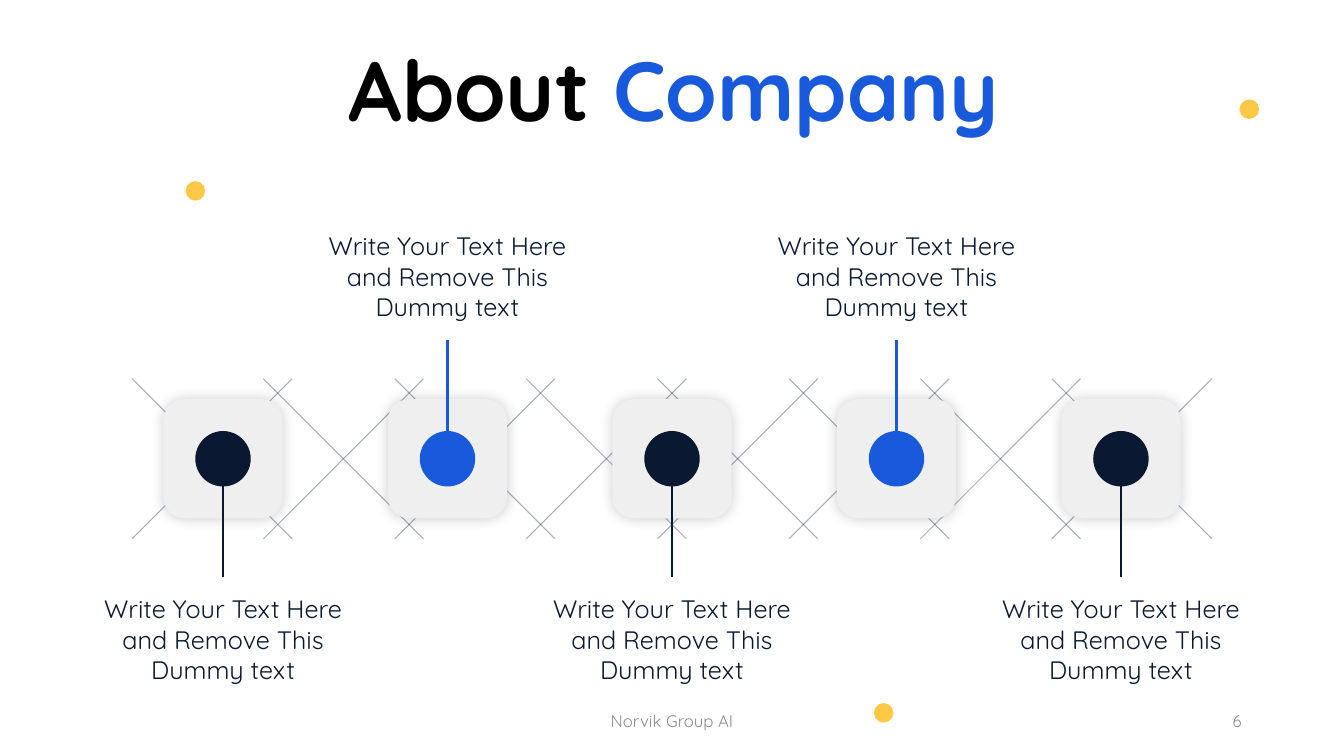
from lxml import etree
from pptx import Presentation
from pptx.dml.color import RGBColor
from pptx.enum.shapes import MSO_CONNECTOR, MSO_SHAPE
from pptx.enum.text import MSO_ANCHOR, MSO_AUTO_SIZE, PP_ALIGN
from pptx.oxml.ns import qn
from pptx.util import Pt

STRAIGHT = MSO_CONNECTOR.STRAIGHT
OVAL = MSO_SHAPE.OVAL
ROUNDED = MSO_SHAPE.ROUNDED_RECTANGLE
TOP, MIDDLE = MSO_ANCHOR.TOP, MSO_ANCHOR.MIDDLE
CENTER, RIGHT = PP_ALIGN.CENTER, PP_ALIGN.RIGHT
NO_AUTOFIT = MSO_AUTO_SIZE.NONE

NAVY = RGBColor(0x0A, 0x19, 0x31)
BLUE = RGBColor(0x18, 0x5A, 0xDB)
YELLOW = RGBColor(0xFF, 0xC9, 0x47)
TILE_GRAY = RGBColor(0xEF, 0xEF, 0xEF)
FOOTER_GRAY = RGBColor(0x8C, 0x8C, 0x8C)
BLACK = RGBColor(0, 0, 0)

FONT = "Quicksand"
STEP_TEXT = "Write Your Text Here and Remove This Dummy text"
STEP_COUNT = 5
LATTICE_COUNT = 8


def add_run(paragraph, text, size, color, bold=False):
    """Add one formatted run to a paragraph."""
    run = paragraph.add_run()
    run.text = text
    run.font.name = FONT
    run.font.size = Pt(size)
    run.font.bold = bold
    run.font.color.rgb = color


def add_text(slide, box, text, size, color, alignment=CENTER, anchor=TOP):
    """Add a wrapped text box with one paragraph."""
    frame = slide.shapes.add_textbox(*(Pt(value) for value in box)).text_frame
    frame.word_wrap = True
    frame.vertical_anchor = anchor
    paragraph = frame.paragraphs[0]
    paragraph.alignment = alignment
    add_run(paragraph, text, size, color)


def add_centered_shape(slide, kind, center_x, center_y, size, color):
    """Add a plain square-bounded shape around a centre point."""
    shape = slide.shapes.add_shape(
        kind, Pt(center_x - size / 2), Pt(center_y - size / 2), Pt(size), Pt(size))
    shape.shadow.inherit = False
    shape.fill.solid()
    shape.fill.fore_color.rgb = color
    shape.line.fill.background()
    return shape


def add_line(slide, start, end, color, width, opacity=100):
    """Add a straight line without a shadow."""
    line = slide.shapes.add_connector(STRAIGHT, *(Pt(value) for value in start + end))
    line.line.color.rgb = color
    line.line.width = Pt(width)
    properties = line._element.spPr
    if opacity < 100:
        fill_color = properties.find(".//" + qn("a:srgbClr"))
        etree.SubElement(fill_color, qn("a:alpha"), val=str(opacity * 1000))
    etree.SubElement(properties, qn("a:effectLst"))


def add_glow(shape):
    """Give a shape a soft shadow on all sides."""
    effects = shape._element.spPr.find(qn("a:effectLst"))
    shadow = etree.SubElement(effects, qn("a:outerShdw"), blurRad=str(Pt(10)),
                              dist="0", dir="0", algn="ctr", rotWithShape="0")
    color = etree.SubElement(shadow, qn("a:srgbClr"), val="000000")
    etree.SubElement(color, qn("a:alpha"), val="20000")


def add_title(slide, left, top, width, height):
    """Place the two-coloured title."""
    title = slide.shapes.title
    title.left, title.top, title.width, title.height = map(Pt, (left, top, width, height))
    frame = title.text_frame
    frame.word_wrap = False
    frame.auto_size = NO_AUTOFIT
    frame.vertical_anchor = TOP
    paragraph = frame.paragraphs[0]
    paragraph.alignment = CENTER
    add_run(paragraph, "About ", 60, BLACK, True)
    add_run(paragraph, "Company", 60, BLUE, True)


def add_lattice(slide, left, top, width, height):
    """Draw overlapping diagonal crosses across the box."""
    pitch = (width - height) / (LATTICE_COUNT - 1)
    bottom = top + height
    for index in range(LATTICE_COUNT):
        start = left + index * pitch
        end = start + height
        add_line(slide, (start, top), (end, bottom), NAVY, 0.75, 35)
        add_line(slide, (end, top), (start, bottom), NAVY, 0.75, 35)


def add_step(slide, center_x, center_y, above):
    """Draw a tile with its dot, stem and caption above or below."""
    color = BLUE if above else NAVY
    stem = -84.5 if above else 84.5
    caption_top = center_y + (-166.5 if above else 92.8)
    tile = add_centered_shape(slide, ROUNDED, center_x, center_y, 85.2, TILE_GRAY)
    tile.adjustments[0] = 0.18
    add_glow(tile)
    add_centered_shape(slide, OVAL, center_x, center_y, 39.6, color)
    add_line(slide, (center_x, center_y), (center_x, center_y + stem), color, 1.5)
    add_text(slide, (center_x - 98, caption_top, 196, 73), STEP_TEXT, 18, NAVY)


def add_timeline(slide, left, top, width, height):
    """Place the steps evenly over the lattice, alternating captions."""
    add_lattice(slide, left, top, width, height)
    inset = 65
    pitch = (width - 2 * inset) / (STEP_COUNT - 1)
    for index in range(STEP_COUNT):
        add_step(slide, left + inset + index * pitch, top + height / 2, index % 2 == 1)


def add_accents(slide, centers):
    """Scatter small yellow dots."""
    for center_x, center_y in centers:
        add_centered_shape(slide, OVAL, center_x, center_y, 14, YELLOW)


def add_footer(slide, left, top, width, height):
    """Place the footer name and the page number."""
    add_text(slide, (left, top, 324, height), "Norvik Group AI", 12, FOOTER_GRAY,
             CENTER, MIDDLE)
    add_text(slide, (left + width - 216, top, 216, height), "6", 12, FOOTER_GRAY,
             RIGHT, MIDDLE)


def main():
    """Build and save the slide."""
    presentation = Presentation()
    presentation.slide_width = Pt(960)
    presentation.slide_height = Pt(540)
    slide = presentation.slides.add_slide(presentation.slide_layouts[5])
    add_timeline(slide, 94.3, 270.5, 771.4, 114.4)
    add_title(slide, 238, 23, 486, 80)
    add_accents(slide, [(139.6, 136.4), (892.4, 78), (631.2, 509.2)])
    add_footer(slide, 318, 500.5, 576, 28.8)
    presentation.save("out.pptx")


if __name__ == "__main__":
    main()
